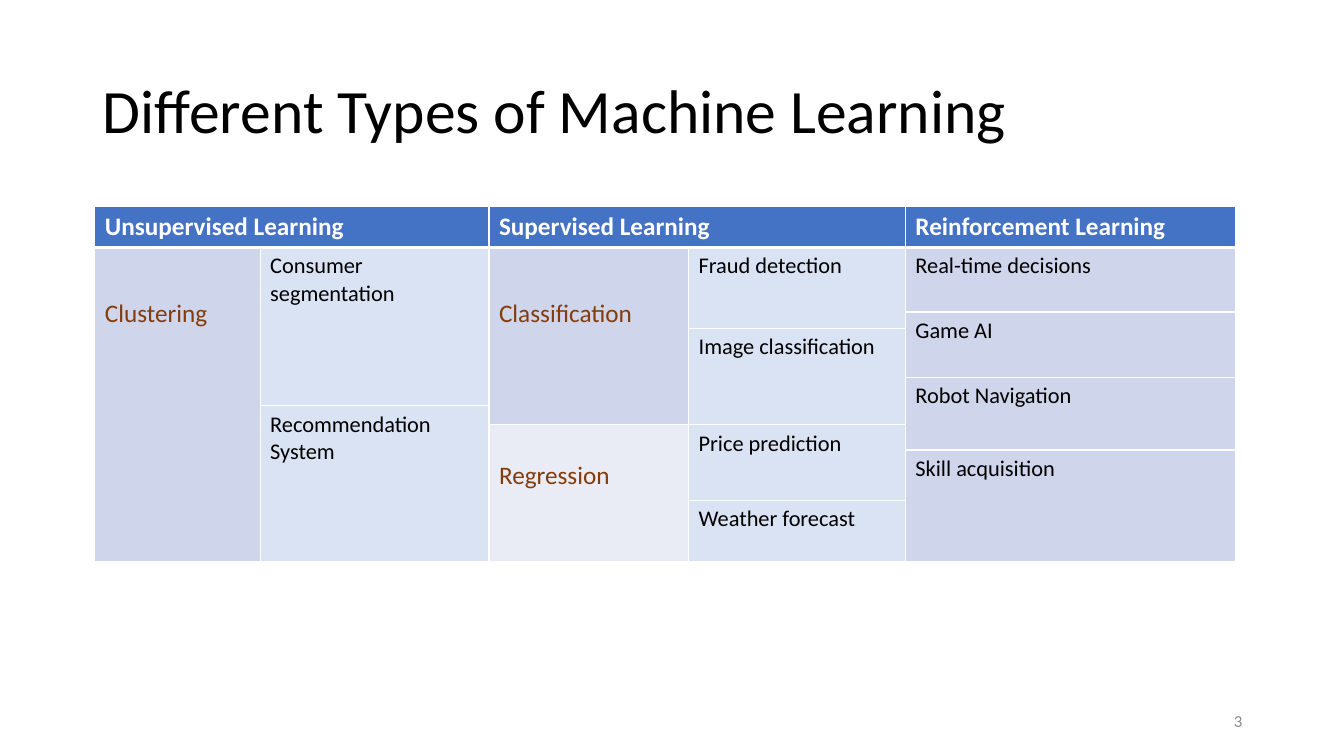
from lxml import etree
from pptx import Presentation
from pptx.dml.color import RGBColor
from pptx.enum.text import MSO_ANCHOR, PP_ALIGN
from pptx.oxml.ns import qn
from pptx.util import Inches, Pt

LEFT, RIGHT = PP_ALIGN.LEFT, PP_ALIGN.RIGHT
TOP, MIDDLE = MSO_ANCHOR.TOP, MSO_ANCHOR.MIDDLE
FONT = "Calibri"
TITLE_ONLY = 5
COLORS = {
    "black": "000000",
    "white": "FFFFFF",
    "header": "4472C4",
    "band": "CFD5EA",
    "light_band": "E9EBF5",
    "example": "DAE3F3",
    "method": "843C0B",
    "number": "8C8C8C",
}
COLUMN_WIDTHS = [1.64, 2.27, 1.98, 2.15, 3.28]
ROW_HEIGHTS = [0.4, 0.64, 0.16, 0.49, 0.28, 0.19, 0.25, 0.5, 0.61]

HEADERS = [
    (0, 2, "Unsupervised Learning"),
    (2, 2, "Supervised Learning"),
    (4, 1, "Reinforcement Learning"),
]
METHODS = [
    (1, 0, 8, "Clustering", "band", 2.5),
    (1, 2, 5, "Classification", "band", 2.5),
    (6, 2, 3, "Regression", "light_band", 2.0),
]
EXAMPLES = [
    (1, "example", [(4, "Consumer segmentation"), (4, "Recommendation System")]),
    (3, "example", [(2, "Fraud detection"), (3, "Image classification"),
                    (2, "Price prediction"), (1, "Weather forecast")]),
    (4, "band", [(1, "Real-time decisions"), (2, "Game AI"),
                 (3, "Robot Navigation"), (2, "Skill acquisition")]),
]


def rgb(name):
    return RGBColor.from_string(COLORS[name])


def write_text(text_frame, text, size=16, color="black", bold=False,
               align=LEFT, spacing=1.0):
    text_frame.word_wrap = True
    paragraph = text_frame.paragraphs[0]
    paragraph.alignment = align
    paragraph.line_spacing = spacing
    run = paragraph.add_run()
    run.text = text
    run.font.name = FONT
    run.font.size = Pt(size)
    run.font.bold = bold
    run.font.color.rgb = rgb(color)


def set_borders(cell, top=1, bottom=1):
    properties = cell._tc.get_or_add_tcPr()
    widths = {"a:lnL": 1, "a:lnR": 1, "a:lnT": top, "a:lnB": bottom}
    for position, (tag, width) in enumerate(widths.items()):
        line = etree.Element(qn(tag), w=str(Pt(width)))
        fill = etree.SubElement(line, qn("a:solidFill"))
        etree.SubElement(fill, qn("a:srgbClr"), val=COLORS["white"])
        properties.insert(position, line)


def fill_cell(table, row, column, text, fill, rows=1, columns=1, **text_format):
    cell = table.cell(row, column)
    if rows > 1 or columns > 1:
        cell.merge(table.cell(row + rows - 1, column + columns - 1))
    cell.fill.solid()
    cell.fill.fore_color.rgb = rgb(fill)
    cell.vertical_anchor = TOP
    write_text(cell.text_frame, text, **text_format)


def add_title(slide, text):
    title = slide.shapes.title
    title.left, title.top = Inches(0.92), Inches(0.4)
    title.width, title.height = Inches(11.5), Inches(1.45)
    title.text_frame.vertical_anchor = MIDDLE
    write_text(title.text_frame, text, size=44, spacing=0.9)


def add_learning_table(slide):
    frame = slide.shapes.add_table(
        len(ROW_HEIGHTS), len(COLUMN_WIDTHS), Inches(0.94), Inches(2.05),
        Inches(sum(COLUMN_WIDTHS)), Inches(sum(ROW_HEIGHTS)))
    table = frame.table
    for column, width in zip(table.columns, COLUMN_WIDTHS):
        column.width = Inches(width)
    for row, height in zip(table.rows, ROW_HEIGHTS):
        row.height = Inches(height)

    for column, columns, text in HEADERS:
        fill_cell(table, 0, column, text, "header", columns=columns,
                  size=18, color="white", bold=True)
    for row, column, rows, text, fill, spacing in METHODS:
        fill_cell(table, row, column, text, fill, rows=rows,
                  size=18, color="method", spacing=spacing)
    for column, fill, examples in EXAMPLES:
        row = 1
        for rows, text in examples:
            fill_cell(table, row, column, text, fill, rows=rows)
            row += rows

    for index, row in enumerate(table.rows):
        for cell in row.cells:
            set_borders(cell, top=3 if index == 1 else 1,
                        bottom=3 if index == 0 else 1)


def add_slide_number(slide, text):
    box = slide.shapes.add_textbox(
        Inches(9.42), Inches(6.95), Inches(3), Inches(0.4))
    box.text_frame.vertical_anchor = MIDDLE
    write_text(box.text_frame, text, size=12, color="number", align=RIGHT)


def main():
    presentation = Presentation()
    presentation.slide_width = Inches(13.33)
    presentation.slide_height = Inches(7.5)
    slide = presentation.slides.add_slide(presentation.slide_layouts[TITLE_ONLY])
    add_title(slide, "Different Types of Machine Learning")
    add_learning_table(slide)
    add_slide_number(slide, "3")
    presentation.save("out.pptx")


if __name__ == "__main__":
    main()
